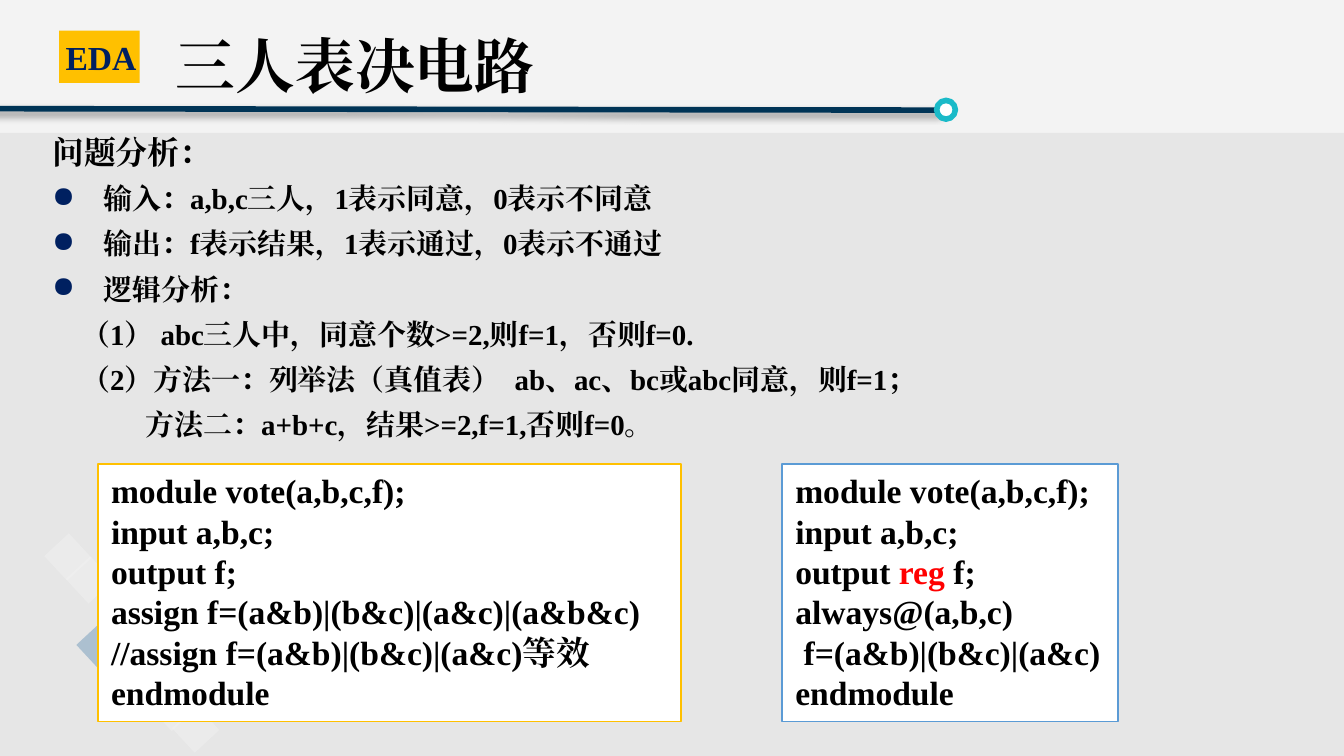
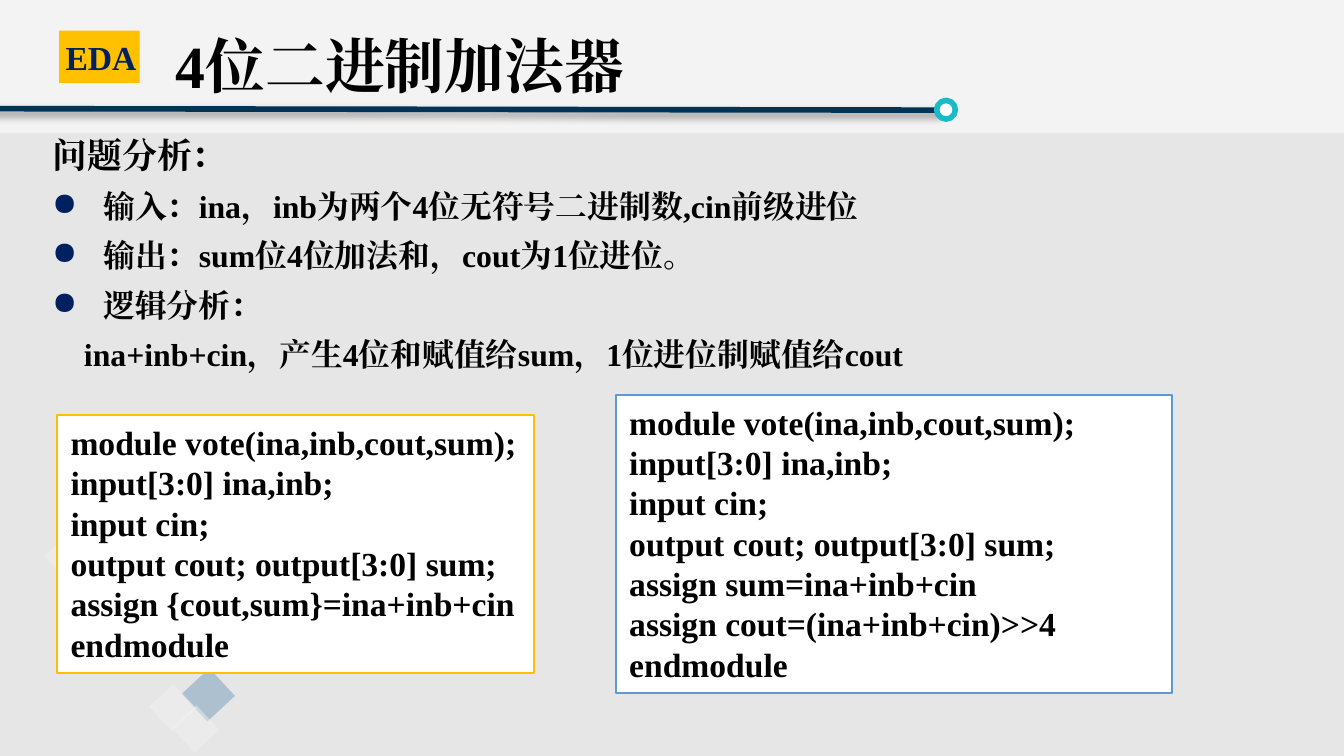
from dataclasses import dataclass

from lxml import etree
from pptx import Presentation
from pptx.dml.color import RGBColor
from pptx.enum import shapes, text
from pptx.oxml import ns
from pptx.util import Pt


@dataclass(frozen=True)
class Theme:
    font: str = "Times New Roman"
    ink: str = "000000"
    navy: str = "002060"
    amber: str = "FFC000"
    sky: str = "5B9BD5"
    white: str = "FFFFFF"
    red: str = "FF0000"
    top_band: str = "E6E6E6"
    body_band: str = "D9D9D9"
    rule: str = "003456"
    ring: str = "1ABAC8"
    blue_tile: str = "3773A4"
    pale_tile: str = "F2F2F2"
    title_size: float = 32
    code_size: float = 18


theme = Theme()
RECT = shapes.MSO_SHAPE.RECTANGLE
OVAL = shapes.MSO_SHAPE.OVAL


def block(slide, box, fill, alpha=100, line=None, weight=1, turn=0, kind=RECT):
    shape = slide.shapes.add_shape(kind, *map(Pt, box))
    shape.shadow.inherit = False
    shape.rotation = turn
    shape.fill.solid()
    shape.fill.fore_color.rgb = RGBColor.from_string(fill)
    if alpha < 100:
        colour = shape._element.spPr.find(".//" + ns.qn("a:srgbClr"))
        etree.SubElement(colour, ns.qn("a:alpha"), val=str(alpha * 1000))
    if line:
        shape.line.color.rgb = RGBColor.from_string(line)
        shape.line.width = Pt(weight)
    else:
        shape.line.fill.background()
    return shape


def write(frame, words, size, color=theme.ink, align=text.PP_ALIGN.LEFT, spacing=None,
          indent=0, bullet=None, highlight=None, outline=None):
    paragraph = frame.add_paragraph() if frame.text else frame.paragraphs[0]
    paragraph.alignment = align
    if spacing:
        paragraph.line_spacing = spacing
    props = paragraph._p.get_or_add_pPr()
    if indent:
        props.set("marL", str(Pt(indent)))
    if bullet:
        props.set("indent", str(-Pt(indent)))
        tint = etree.SubElement(props, ns.qn("a:buClr"))
        etree.SubElement(tint, ns.qn("a:srgbClr"), val=theme.navy)
        etree.SubElement(props, ns.qn("a:buChar"), char=bullet)
    pieces = words.partition(highlight) if highlight else [words]
    for piece in filter(None, pieces):
        run = paragraph.add_run()
        run.text = piece
        run.font.name = theme.font
        run.font.size = Pt(size)
        run.font.bold = True
        run.font.color.rgb = RGBColor.from_string(theme.red if piece == highlight else color)
        run_props = run._r.get_or_add_rPr()
        run_props.set("lang", "zh-CN")
        etree.SubElement(run_props, ns.qn("a:ea"), typeface=theme.font)
        if outline:
            edge = etree.Element(ns.qn("a:ln"), w=str(Pt(0.75)))
            etree.SubElement(etree.SubElement(edge, ns.qn("a:solidFill")),
                             ns.qn("a:srgbClr"), val=outline)
            run_props.insert(0, edge)


HEAD, BULLET = {}, {"indent": 27.4, "bullet": "●"}

pages = [
    {
        "title": "三人表决电路",
        "tiles": [(44.6, 337, 18, theme.blue_tile, 33),
                  (81.4, 252, 20.2, theme.pale_tile, 23),
                  (38.9, 301.7, 18, theme.pale_tile, 46)],
        "height": 187.2,
        "sizes": (17.1, 15.5),
        "analysis": [
            ("问题分析：", HEAD),
            ("输入：a,b,c三人，1表示同意，0表示不同意", BULLET),
            ("输出：f表示结果，1表示通过，0表示不通过", BULLET),
            ("逻辑分析：", BULLET),
            ("（1） abc三人中，同意个数>=2,则f=1，否则f=0.", {"indent": 15.5}),
            ("（2）方法一：列举法（真值表）  ab、ac、bc或abc同意，则f=1；", {"indent": 15.5}),
            ("方法二：a+b+c，结果>=2,f=1,否则f=0。", {"indent": 50}),
        ],
        "modules": [
            ((52.4, 248.4, 312.5, 138.2), theme.amber, False, [
                "module vote(a,b,c,f);",
                "input a,b,c;",
                "output f;",
                "assign f=(a&b)|(b&c)|(a&c)|(a&b&c)",
                "//assign f=(a&b)|(b&c)|(a&c)等效",
                "endmodule"]),
            ((419, 248.4, 180, 138.2), theme.sky, False, [
                "module vote(a,b,c,f);",
                "input a,b,c;",
                "output reg f;",
                "always@(a,b,c)",
                " f=(a&b)|(b&c)|(a&c)",
                "endmodule"]),
        ],
    },
    {
        "title": "4位二进制加法器",
        "tiles": [],
        "height": 144,
        "sizes": (18.7, 17),
        "analysis": [
            ("问题分析：", HEAD),
            ("输入：ina，inb为两个4位无符号二进制数,cin前级进位", BULLET),
            ("输出：sum位4位加法和，cout为1位进位。", BULLET),
            ("逻辑分析：", BULLET),
            ("ina+inb+cin，产生4位和赋值给sum，1位进位制赋值给cout", {"indent": 17}),
        ],
        "modules": [
            ((30.7, 222.5, 255.6, 138.2), theme.amber, False, [
                "module vote(ina,inb,cout,sum);",
                "input[3:0] ina,inb;",
                "input cin;",
                "output cout; output[3:0] sum;",
                "assign {cout,sum}=ina+inb+cin",
                "endmodule"]),
            ((330, 211.7, 298, 159.8), theme.sky, True, [
                "module vote(ina,inb,cout,sum);",
                "input[3:0] ina,inb;",
                "input cin;",
                "output cout; output[3:0] sum;",
                "assign sum=ina+inb+cin",
                "assign cout=(ina+inb+cin)>>4",
                "endmodule"]),
        ],
    },
]

shared_tiles = [
    (27.4, 289.4, 18, theme.pale_tile, 46),
    (101.5, 362.2, 20.2, theme.blue_tile, 33),
    (83.5, 370, 18, theme.pale_tile, 46),
    (95.8, 381.6, 18, theme.pale_tile, 46),
]

prs = Presentation()
prs.slide_width, prs.slide_height = Pt(720), Pt(405)

for page in pages:
    slide = prs.slides.add_slide(prs.slide_layouts[6])
    block(slide, (0, 0, 720, 405), theme.top_band, 47)
    block(slide, (0, 71.2, 720, 333.8), theme.body_band, 47)

    rule = slide.shapes.add_connector(
        shapes.MSO_CONNECTOR.STRAIGHT, Pt(-10.8), Pt(58.2), Pt(501.8), Pt(59))
    rule.line.color.rgb = RGBColor.from_string(theme.rule)
    rule.line.width = Pt(3)
    effects = etree.SubElement(rule._element.spPr, ns.qn("a:effectLst"))
    shade = etree.SubElement(effects, ns.qn("a:outerShdw"), blurRad=str(Pt(4)),
                             dist=str(Pt(3)), dir="2700000", algn="tl", rotWithShape="0")
    shade_color = etree.SubElement(shade, ns.qn("a:srgbClr"), val=theme.ink)
    etree.SubElement(shade_color, ns.qn("a:alpha"), val="40000")

    for left, top, side, color, alpha in page["tiles"] + shared_tiles:
        block(slide, (left, top, side, side), color, alpha, turn=47.2)
    block(slide, (501.8, 53.8, 10, 10), theme.white, line=theme.ring, weight=3, kind=OVAL)

    block(slide, (31.7, 16.4, 43.2, 28), theme.amber)
    badge = slide.shapes.add_textbox(Pt(28), Pt(15.1), Pt(63.4), Pt(33.8)).text_frame
    badge.word_wrap = True
    badge.vertical_anchor = text.MSO_ANCHOR.MIDDLE
    write(badge, "EDA", 18, color=theme.navy, spacing=0.9, outline=theme.white)

    analysis = slide.shapes.add_textbox(
        Pt(20.9), Pt(61.2), Pt(687.6), Pt(page["height"])).text_frame
    analysis.word_wrap = True
    head_size, point_size = page["sizes"]
    for words, layout in page["analysis"]:
        write(analysis, words, point_size if layout else head_size,
              align=text.PP_ALIGN.JUSTIFY, spacing=1.3, **layout)

    title = slide.shapes.add_textbox(Pt(87.1), Pt(-2.2), Pt(620.6), Pt(78.5)).text_frame
    title.word_wrap = True
    title.vertical_anchor = text.MSO_ANCHOR.MIDDLE
    write(title, page["title"], theme.title_size, spacing=0.9)

    for box, border, wrap, code in page["modules"]:
        module = block(slide, box, theme.white, line=border).text_frame
        module.word_wrap = wrap
        module.auto_size = text.MSO_AUTO_SIZE.SHAPE_TO_FIT_TEXT
        module.vertical_anchor = text.MSO_ANCHOR.TOP
        for statement in code:
            write(module, statement, theme.code_size, highlight="reg")

prs.save("out.pptx")
